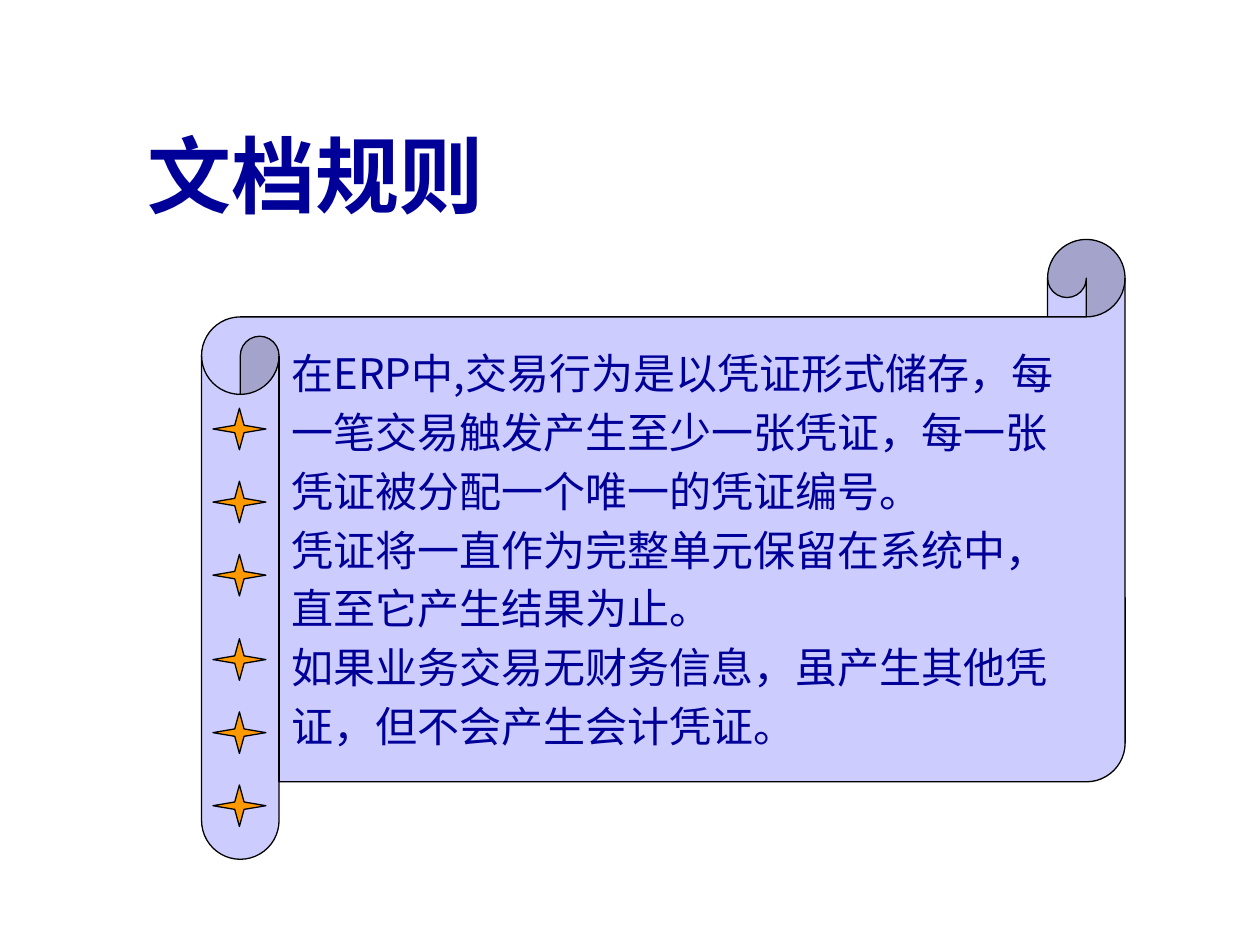
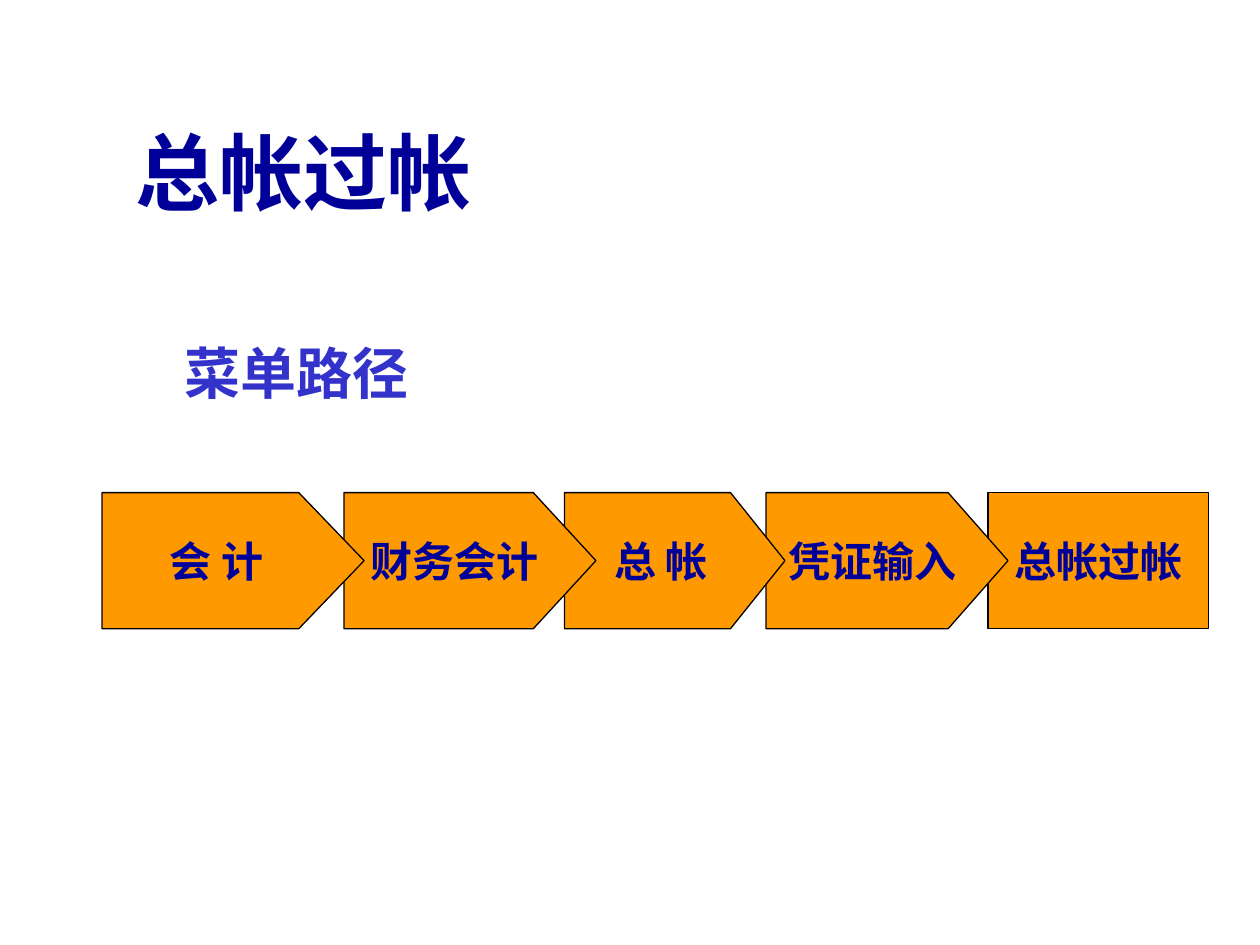
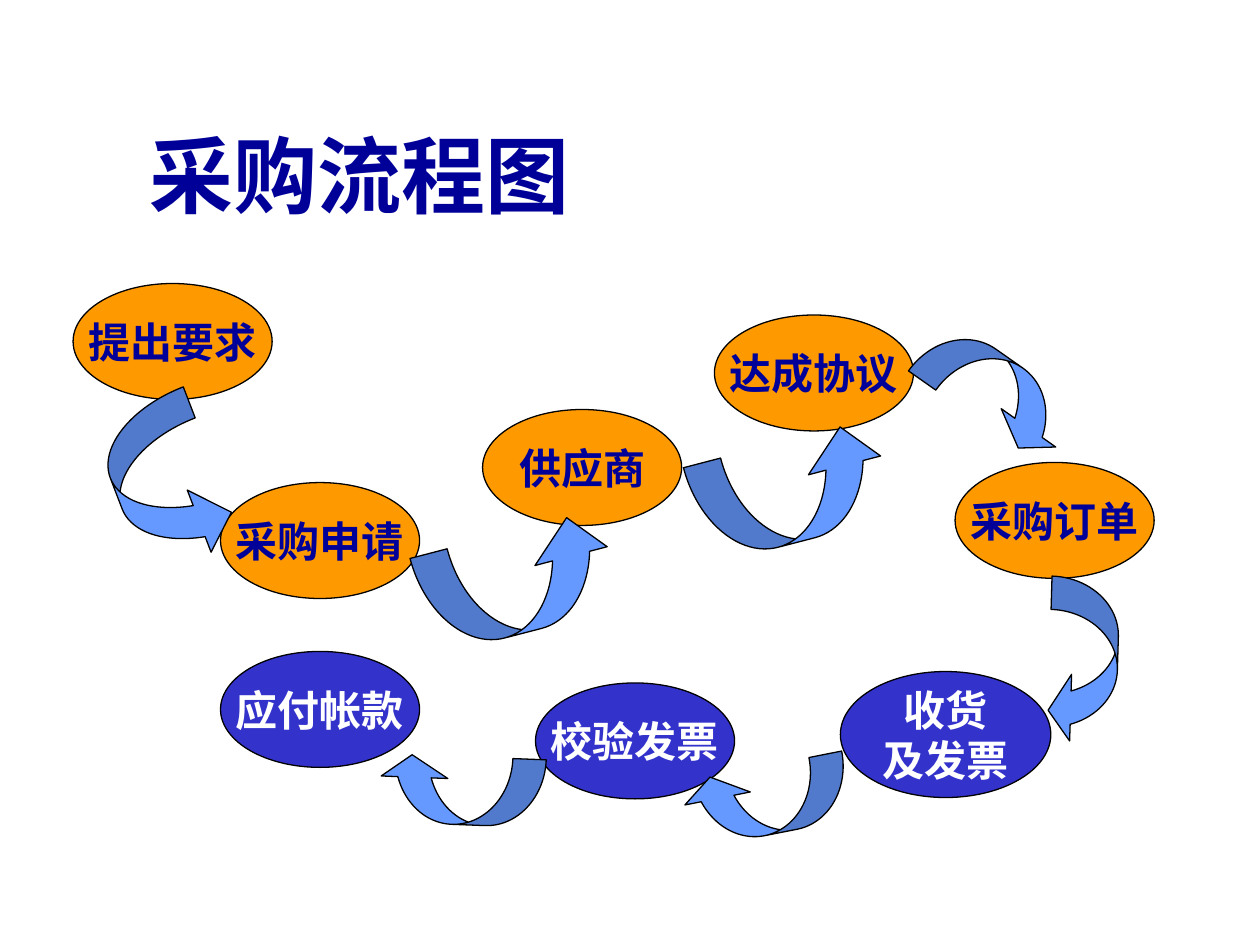
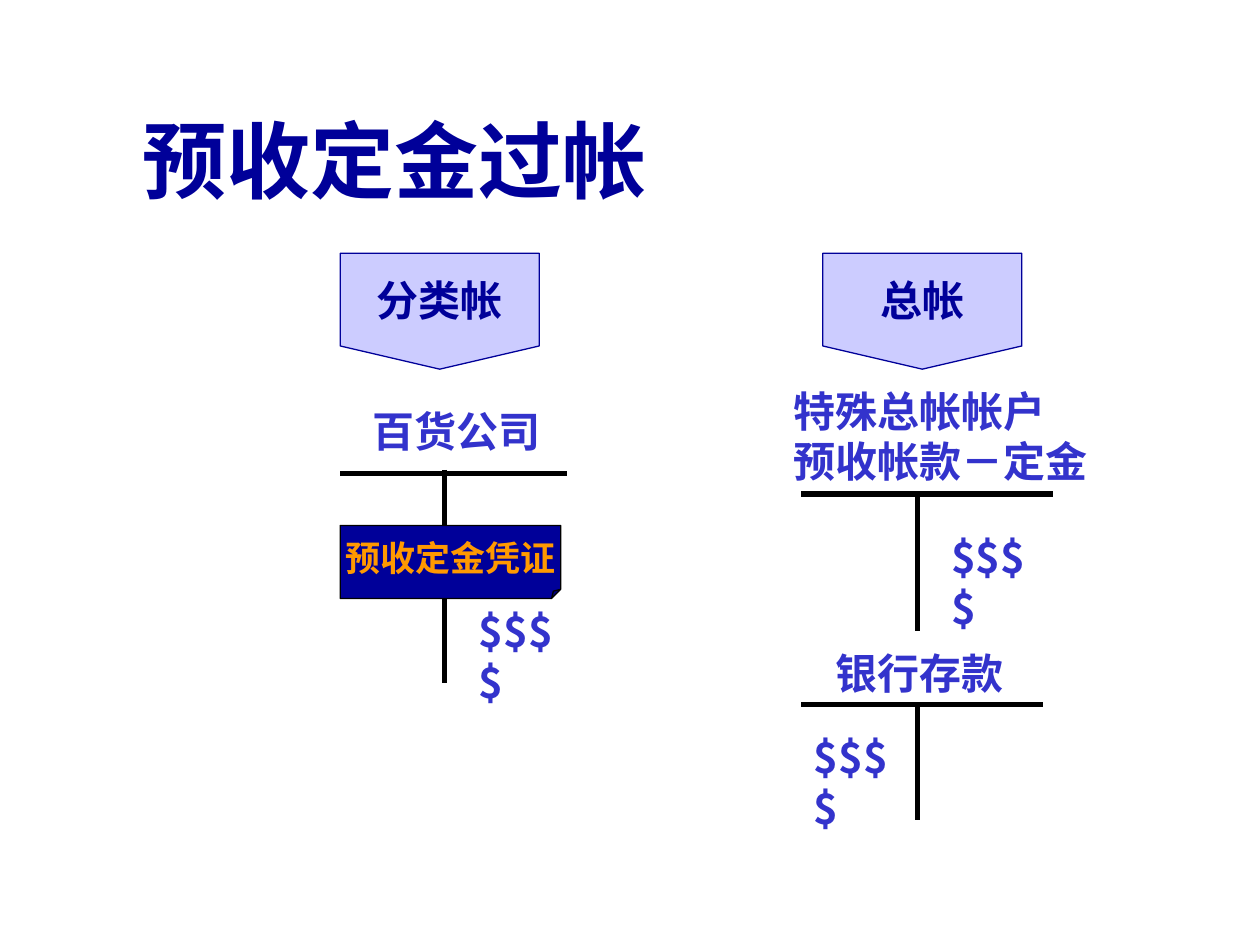
"""Build four slides on document rules, posting, purchasing and down payments."""
from lxml.etree import SubElement
from pptx import Presentation
from pptx.dml.color import RGBColor
from pptx.enum.shapes import MSO_CONNECTOR, MSO_SHAPE
from pptx.enum.text import MSO_ANCHOR, PP_ALIGN
from pptx.oxml.ns import qn
from pptx.util import Inches, Pt

NAVY = "000099"
BLUE = "3333CC"
SKY = "6699FF"
LAVENDER = "CCCCFF"
ORANGE = "FF9900"
BLACK = "000000"
WHITE = "FFFFFF"
SANS = "Noto Sans CJK SC"
SERIF = "Times New Roman"


def write_text(shape, text, color, size=24, bold=True, font=SANS,
               alignment=PP_ALIGN.LEFT, anchor=MSO_ANCHOR.TOP, wrap=True, gap=0):
    text_frame = shape.text_frame
    text_frame.text = text
    text_frame.word_wrap = wrap
    text_frame.vertical_anchor = anchor
    for index, paragraph in enumerate(text_frame.paragraphs):
        paragraph.alignment = alignment
        paragraph.space_before = Pt(gap if index else 0)
        for run in paragraph.runs:
            run.font.size = Pt(size)
            run.font.bold = bold
            run.font.name = font
            run.font.color.rgb = RGBColor.from_string(color)
            SubElement(run.font._element, qn("a:ea"), typeface=SANS)


def add_figure(slide, preset, left, top, width, height, fill,
               line=BLACK, adjustments=(), rotation=0):
    shape = slide.shapes.add_shape(
        preset, Inches(left), Inches(top), Inches(width), Inches(height))
    shape.shadow.inherit = False
    shape.fill.solid()
    shape.fill.fore_color.rgb = RGBColor.from_string(fill)
    shape.line.color.rgb = RGBColor.from_string(line)
    shape.line.width = Pt(0.75)
    shape.rotation = rotation
    if adjustments:
        guides = shape._element.spPr.find(qn("a:prstGeom")).find(qn("a:avLst"))
        guides.clear()
        for number, value in enumerate(adjustments, 1):
            name = f"adj{number}" if len(adjustments) > 1 else "adj"
            SubElement(guides, qn("a:gd"), name=name, fmla=f"val {round(value * 100000)}")
    return shape


presentation = Presentation()
presentation.slide_width = Inches(10)
presentation.slide_height = Inches(7.5)
centered = {"alignment": PP_ALIGN.CENTER, "anchor": MSO_ANCHOR.MIDDLE, "wrap": False}

titles = [
    ("文档规则", 1.07, 0.93, 8.5, 1.25, SANS, MSO_ANCHOR.TOP),
    ("总帐过帐", 0.98, 0.91, 3.92, 1.25, SERIF, MSO_ANCHOR.TOP),
    ("采购流程图", 1.09, 0.93, 3.84, 1.17, SERIF, MSO_ANCHOR.TOP),
    ("预收定金过帐", 1.03, 0.76, 4.42, 1, SANS, MSO_ANCHOR.MIDDLE),
]
slides = []
for text, left, top, width, height, font, anchor in titles:
    slide = presentation.slides.add_slide(presentation.slide_layouts[6])
    title = slide.shapes.add_textbox(
        Inches(left), Inches(top), Inches(width), Inches(height))
    write_text(title, text, NAVY, size=48, font=font, anchor=anchor)
    slides.append(slide)
rules_slide, posting_slide, purchasing_slide, deposit_slide = slides

rules = [
    "在ERP中,交易行为是以凭证形式储存，每",
    "一笔交易触发产生至少一张凭证，每一张",
    "凭证被分配一个唯一的凭证编号。",
    "凭证将一直作为完整单元保留在系统中，",
    "直至它产生结果为止。",
    "如果业务交易无财务信息，虽产生其他凭",
    "证，但不会产生会计凭证。",
]
scroll = add_figure(rules_slide, MSO_SHAPE.HORIZONTAL_SCROLL,
                    1.6, 1.9, 7.33, 4.92, LAVENDER, adjustments=[0.125])
write_text(scroll, "\n".join(rules), NAVY, bold=False,
           anchor=MSO_ANCHOR.MIDDLE, wrap=False, gap=4.8)
for group_top in (3.24, 5.07):
    for row in range(3):
        add_figure(rules_slide, MSO_SHAPE.STAR_4_POINT, 1.69, group_top + row * 0.58,
                   0.42, 0.33, ORANGE, adjustments=[0.125])

menu_heading = add_figure(posting_slide, MSO_SHAPE.RECTANGLE,
                          1.48, 2.66, 1.75, 0.58, WHITE, line=WHITE)
write_text(menu_heading, "菜单路径", BLUE, size=32, **centered)
menu_steps = [
    ("会 计", 0.81, 2.08, [0.48]),
    ("财务会计", 2.73, 2, [0.46]),
    ("总 帐", 4.48, 1.75, [0.4]),
    ("凭证输入", 6.08, 1.92, [0.44]),
    ("总帐过帐", 7.84, 1.75, []),
]
for text, left, width, point in reversed(menu_steps):
    preset = MSO_SHAPE.PENTAGON if point else MSO_SHAPE.RECTANGLE
    step = add_figure(posting_slide, preset, left, 3.91, width, 1.08, ORANGE,
                      adjustments=point)
    write_text(step, text, NAVY, **centered)

stages = [
    ("提出要求", 0.58, 2.25, 1.58, 0.92, ORANGE, NAVY),
    ("采购申请", 1.75, 3.83, 1.58, 0.92, ORANGE, NAVY),
    ("供应商", 3.83, 3.25, 1.58, 0.92, ORANGE, NAVY),
    ("达成协议", 5.67, 2.5, 1.58, 0.92, ORANGE, NAVY),
    ("采购订单", 7.58, 3.67, 1.58, 0.92, ORANGE, NAVY),
    ("收货\n及发票", 6.67, 5.33, 1.67, 1, BLUE, WHITE),
    ("校验发票", 4.25, 5.42, 1.58, 0.92, BLUE, WHITE),
    ("应付帐款", 1.75, 5.17, 1.58, 0.92, BLUE, WHITE),
]
for text, left, top, width, height, fill, color in stages:
    stage = add_figure(purchasing_slide, MSO_SHAPE.OVAL, left, top, width, height, fill)
    write_text(stage, text, color, **centered)

right_arrow = MSO_SHAPE.CURVED_RIGHT_ARROW
left_arrow = MSO_SHAPE.CURVED_LEFT_ARROW
first_bend = [0.33, 0.66, 0.33]
upward_bend = [0.38, 0.74, 0.38]
return_bend = [0.49, 0.98, 0.33]
flow_arrows = [
    (right_arrow, 0.92, 3.17, 0.8, 1.33, 339, first_bend),
    (right_arrow, 3.72, 3.83, 0.8, 1.58, 255.4, upward_bend),
    (right_arrow, 5.89, 3.11, 0.8, 1.58, 255.4, upward_bend),
    (left_arrow, 7.64, 2.44, 0.54, 1.33, 305.1, return_bend),
    (left_arrow, 8.33, 4.58, 0.54, 1.33, 1.7, return_bend),
    (left_arrow, 5.81, 5.69, 0.54, 1.33, 78.8, return_bend),
    (left_arrow, 3.39, 5.61, 0.54, 1.33, 92.2, return_bend),
]
for preset, left, top, width, height, rotation, bend in flow_arrows:
    add_figure(purchasing_slide, preset, left, top, width, height, SKY,
               adjustments=bend, rotation=rotation)

account_lines = [
    (2.7, 3.76, 4.5, 3.76),
    (3.53, 3.73, 3.53, 5.42),
    (6.36, 3.92, 8.36, 3.92),
    (7.28, 3.92, 7.28, 5.01),
    (6.36, 5.59, 8.28, 5.59),
    (7.28, 5.59, 7.28, 6.51),
]
for start_x, start_y, end_x, end_y in account_lines:
    connector = deposit_slide.shapes.add_connector(
        MSO_CONNECTOR.STRAIGHT, Inches(start_x), Inches(start_y),
        Inches(end_x), Inches(end_y))
    connector.line.color.rgb = RGBColor.from_string(BLACK)
    connector.line.width = Pt(3)
    SubElement(connector._element.spPr, qn("a:effectLst"))

account_labels = [
    ("百货公司", 2.86, 3.17, 1.63, 0.51),
    ("特殊总帐帐户\n预收帐款－定金", 6.2, 3.01, 2.98, 0.91),
    ("银行存款", 6.53, 5.09, 1.55, 0.51),
    ("$$$$", 3.7, 4.76, 0.95, 0.51),
    ("$$$$", 7.45, 4.17, 0.95, 0.51),
    ("$$$$", 6.36, 5.76, 0.95, 0.51),
]
for text, left, top, width, height in account_labels:
    label = deposit_slide.shapes.add_textbox(
        Inches(left), Inches(top), Inches(width), Inches(height))
    write_text(label, text, BLUE)

for text, left in (("分类帐", 2.7), ("总帐", 6.53)):
    ledger = add_figure(deposit_slide, MSO_SHAPE.FLOWCHART_OFFPAGE_CONNECTOR,
                        left, 2.01, 1.58, 0.92, LAVENDER, line=NAVY)
    write_text(ledger, text, NAVY, **centered)
voucher = add_figure(deposit_slide, MSO_SHAPE.FOLDED_CORNER,
                     2.7, 4.17, 1.75, 0.58, NAVY, adjustments=[0.125])
write_text(voucher, "预收定金凭证", ORANGE, size=20, **centered)

presentation.save("out.pptx")
